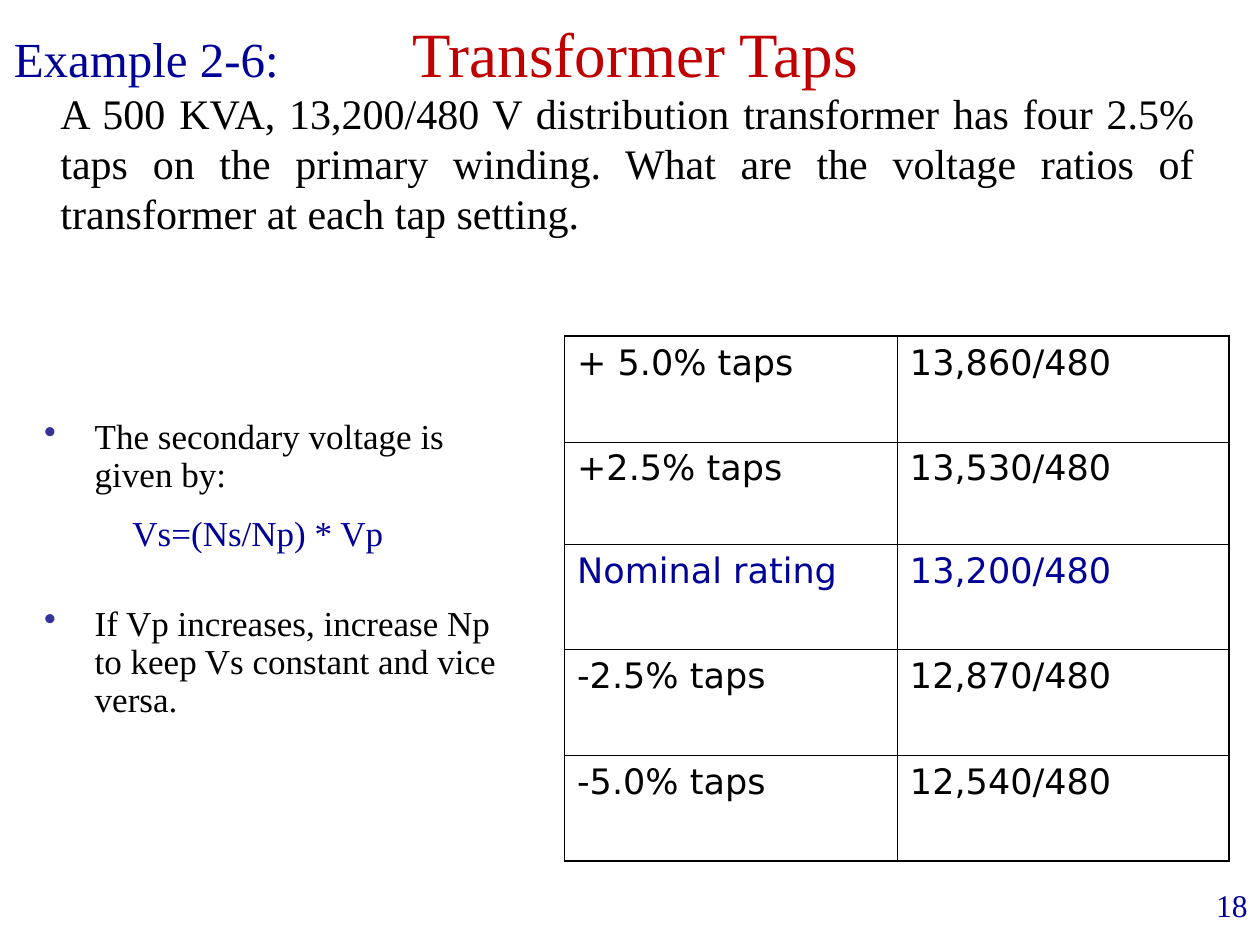
from pptx import Presentation as Deck
from pptx.dml.color import RGBColor as Rgb
from pptx.enum.text import MSO_ANCHOR as Anchor, PP_ALIGN as Align
from pptx.oxml.xmlchemy import OxmlElement as Node
from pptx.util import Cm, Pt

BLACK, BLUE, RED, DOT = "000000", "000099", "C00000", "333399"
SERIF, SANS = "Times New Roman", "DejaVu Sans"
THICK, THIN = 1.08, 0.45


def paint(color, code):
    color.rgb = Rgb.from_string(code)


def child(parent, tag, **attrs):
    node = Node(tag)
    for key, value in attrs.items():
        node.set(key, str(value))
    parent.append(node)
    return node


class Page:
    """Hold the text style and the current slide, and draw each kind of element."""

    def __init__(self, deck, face=SERIF):
        self.slide = deck.slides.add_slide(deck.slide_layouts[6])
        self.face = face

    def add_text(self, para, text, size, code, face=None):
        run = para.add_run()
        run.text = text
        run.font.size = Pt(size)
        run.font.name = face or self.face
        paint(run.font.color, code)

    def box(self, left, top, width, height, anchor=Anchor.TOP):
        shape = self.slide.shapes.add_textbox(Cm(left), Cm(top), Cm(width), Cm(height))
        frame = shape.text_frame
        frame.word_wrap = True
        frame.vertical_anchor = anchor
        return frame

    def label(self, place, text, size, code, align=Align.LEFT, anchor=Anchor.TOP, indent=0):
        para = self.box(*place, anchor).paragraphs[0]
        para.alignment = align
        para._p.get_or_add_pPr().set("marL", str(Cm(indent)))
        self.add_text(para, text, size, code)

    def notes(self, place, items, size):
        frame = self.box(*place)
        for i, (text, code, indent, gap, dot) in enumerate(items):
            para = frame.add_paragraph() if i else frame.paragraphs[0]
            para.line_spacing = 0.9
            if gap:
                para.space_before = Pt(gap)
            props = para._p.get_or_add_pPr()
            props.set("marL", str(Cm(indent)))
            if dot:
                props.set("indent", str(-Cm(indent)))
                child(child(props, "a:buClr"), "a:srgbClr", val=DOT)
                child(props, "a:buChar", char="•")
            self.add_text(para, text, size, code)

    def edge(self, cell, sides):
        props = cell._tc.get_or_add_tcPr()
        for side, width in sides.items():
            line = child(props, "a:ln" + side, w=Pt(width))
            child(child(line, "a:solidFill"), "a:srgbClr", val=BLACK)

    def table(self, left, top, widths, heights, rows, size):
        grid = self.slide.shapes.add_table(
            len(heights), len(widths), Cm(left), Cm(top), Cm(sum(widths)), Cm(sum(heights))
        ).table
        grid.first_row = grid.horz_banding = False
        for col, width in zip(grid.columns, widths):
            col.width = Cm(width)
        for r, (height, (code, *texts)) in enumerate(zip(heights, rows)):
            grid.rows[r].height = Cm(height)
            for c, text in enumerate(texts):
                cell = grid.cell(r, c)
                ends = {"L": c == 0, "R": c == len(widths) - 1,
                        "T": r == 0, "B": r == len(heights) - 1}
                self.edge(cell, {side: THICK if end else THIN for side, end in ends.items()})
                cell.fill.background()
                self.add_text(cell.text_frame.paragraphs[0], text, size, code, SANS)


def main():
    deck = Deck()
    deck.slide_width, deck.slide_height = Cm(25.4), Cm(19.05)
    page = Page(deck)
    page.label((19.89, 17.73, 5.51, 1.32), "18", 18, BLUE, Align.RIGHT)
    page.label((0.64, 0.2, 24.33, 1.7), "Transformer Taps", 36, RED,
               Align.CENTER, Anchor.MIDDLE)
    page.label((0, 1.63, 24.33, 3.81),
               "A 500 KVA, 13,200/480 V distribution transformer has four 2.5% taps "
               "on the primary winding. What are the voltage ratios of transformer "
               "at each tap setting.", 24, BLACK, Align.JUSTIFY, indent=0.97)
    page.table(11.38, 6.78, (6.71, 6.68), (2.13, 2.06, 2.13, 2.13, 2.13), (
        (BLACK, "+ 5.0% taps", "13,860/480"),
        (BLACK, "+2.5% taps", "13,530/480"),
        (BLUE, "Nominal rating", "13,200/480"),
        (BLACK, "-2.5% taps", "12,870/480"),
        (BLACK, "-5.0% taps", "12,540/480"),
    ), 20)
    page.notes((0.64, 8.33, 10.21, 6.78), (
        ("The secondary voltage is given by:", BLACK, 1.02, 0, True),
        ("Vs=(Ns/Np) * Vp", BLUE, 1.78, 12, False),
        ("If Vp increases, increase Np to keep Vs constant and vice versa.",
         BLACK, 1.02, 30, True),
    ), 20)
    page.label((0.03, 0.46, 6.1, 1.45), "Example 2-6:", 28, BLUE)
    deck.save("out.pptx")


if __name__ == "__main__":
    main()
